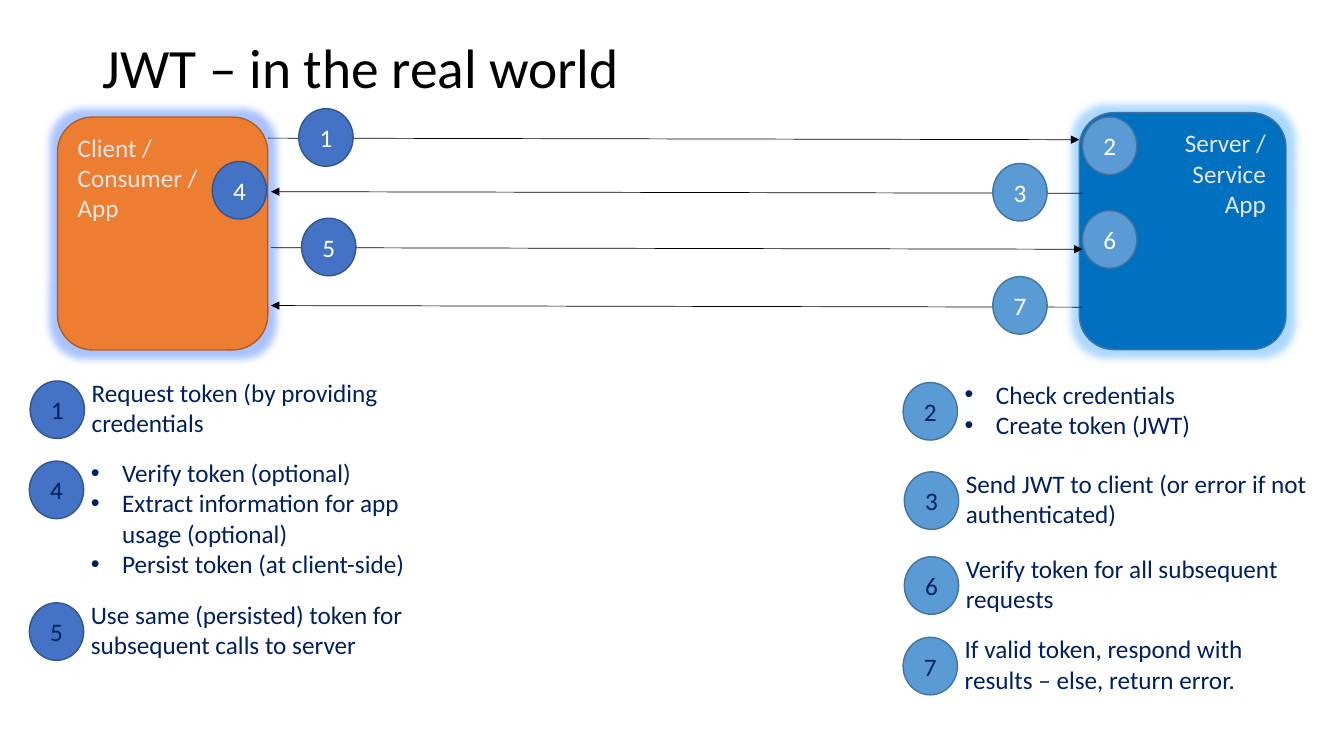
import pptx
import pptx.util
import pptx.dml.color
import pptx.enum.shapes
import pptx.enum.text
import pptx.oxml
import pptx.oxml.ns
from pptx.util import Cm

COLORS = {
    "black": "000000", "white": "FFFFFF", "navy": "002060", "pale": "E7E6E6",
    "client": "ED7D31", "client_edge": "AF5C24", "client_glow": "2A6AFF",
    "server": "0070C0", "server_edge": "43739E", "server_glow": "309FFF",
    "client_step": "4472C4", "client_step_edge": "325491",
    "server_step": "5B9BD5", "server_step_edge": "43739E",
}
DRAWING_NS = 'xmlns:a="http://schemas.openxmlformats.org/drawingml/2006/main"'
ALIGN = pptx.enum.text.PP_ALIGN
ANCHOR = pptx.enum.text.MSO_ANCHOR
SHAPE = pptx.enum.shapes.MSO_SHAPE
CIRCLE_WIDTH, CIRCLE_HEIGHT = 1.37, 1.45


def rgb(name):
    return pptx.dml.color.RGBColor.from_string(COLORS[name])


def element(xml):
    return pptx.oxml.parse_xml(xml.replace("NS", DRAWING_NS, 1))


class FlowSlide:
    """Draws the parts of a request flow on one slide in a shared style."""

    font_name = "Calibri"
    text_size = 18

    def __init__(self, presentation):
        self.slide = presentation.slides.add_slide(presentation.slide_layouts[5])
        self.shapes = self.slide.shapes

    def set_lines(self, frame, lines, color, align=ALIGN.LEFT, size=text_size, bullets=False):
        frame.word_wrap = True
        frame.text = "\n".join(lines)
        for paragraph in frame.paragraphs:
            paragraph.alignment = align
            if bullets:
                properties = paragraph._p.get_or_add_pPr()
                properties.set("marL", str(Cm(0.79)))
                properties.set("indent", str(Cm(-0.79)))
                properties.append(element('<a:buFont NS typeface="Arial"/>'))
                properties.append(element('<a:buChar NS char="•"/>'))
            for run in paragraph.runs:
                run.font.name = self.font_name
                run.font.size = pptx.util.Pt(size)
                run.font.color.rgb = rgb(color)

    def clear_insets(self, frame):
        frame.margin_left = frame.margin_right = frame.margin_top = frame.margin_bottom = 0

    def title(self, wording):
        heading = self.shapes.title
        heading.left, heading.top, heading.width, heading.height = Cm(2.34), Cm(1.02), Cm(29.21), Cm(1.52)
        frame = heading.text_frame
        self.set_lines(frame, [wording], "black", size=39.6)
        frame.auto_size = pptx.enum.text.MSO_AUTO_SIZE.NONE
        frame.vertical_anchor = ANCHOR.MIDDLE
        frame.paragraphs[0].line_spacing = 0.9

    def filled(self, preset, left, top, width, height, fill):
        outline = self.shapes.add_shape(preset, Cm(left), Cm(top), Cm(width), Cm(height))
        outline.shadow.inherit = False
        outline.fill.solid()
        outline.fill.fore_color.rgb = rgb(fill)
        outline.line.color.rgb = rgb(fill + "_edge")
        outline.line.width = pptx.util.Pt(1)
        return outline

    def party(self, side, left, top, width, height, lines, align):
        box = self.filled(SHAPE.ROUNDED_RECTANGLE, left, top, width, height, side)
        box.text_frame.vertical_anchor = ANCHOR.TOP
        self.set_lines(box.text_frame, lines, "pale", align)
        effects = box._element.spPr.find(pptx.oxml.ns.qn("a:effectLst"))
        effects.append(element(
            f'<a:glow NS rad="{Cm(0.39)}"><a:srgbClr val="{COLORS[side + "_glow"]}">'
            '<a:alpha val="40000"/></a:srgbClr></a:glow>'))

    def number(self, side, step, left, top, color="white"):
        circle = self.filled(SHAPE.OVAL, left, top, CIRCLE_WIDTH, CIRCLE_HEIGHT, side + "_step")
        frame = circle.text_frame
        self.clear_insets(frame)
        frame.vertical_anchor = ANCHOR.MIDDLE
        self.set_lines(frame, [str(step)], color, ALIGN.CENTER)

    def arrow(self, start, end):
        call = self.shapes.add_connector(
            pptx.enum.shapes.MSO_CONNECTOR.STRAIGHT, *(Cm(value) for value in start + end))
        call.line.color.rgb = rgb("black")
        call.line.width = pptx.util.Pt(0.5)
        call.line._get_or_add_ln().append(element('<a:tailEnd NS type="triangle"/>'))
        call._element.spPr.append(element("<a:effectLst NS/>"))

    def explanation(self, side, step, left, top, lines):
        self.number(side, step, left, top, "navy")
        height = 3.07 if len(lines) > 2 else 1.55
        note = self.shapes.add_textbox(Cm(left + 1.55), Cm(top - 0.09), Cm(8.86), Cm(height))
        self.clear_insets(note.text_frame)
        self.set_lines(note.text_frame, lines, "navy", bullets=len(lines) > 1)


def main():
    presentation = pptx.Presentation()
    presentation.slide_width, presentation.slide_height = Cm(33.87), Cm(19.05)
    flow = FlowSlide(presentation)
    flow.title("JWT – in the real world")
    flow.party("client", 1.45, 2.95, 5.3, 5.87, ["Client /", "Consumer /", "App"], ALIGN.LEFT)
    flow.party("server", 27.2, 2.84, 5.21, 5.97, ["Server /", "Service", "App"], ALIGN.RIGHT)

    calls = [
        ((6.76, 3.48), (27.2, 3.52)),
        ((27.28, 4.87), (6.83, 4.83)),
        ((6.83, 6.24), (27.28, 6.28)),
        ((27.28, 7.74), (6.83, 7.7)),
    ]
    for start, end in calls:
        flow.arrow(start, end)

    markers = [
        ("client", 1, 7.53, 2.74), ("server", 2, 27.28, 2.95), ("server", 3, 25.02, 4.12),
        ("client", 4, 5.35, 4.07), ("client", 5, 7.6, 5.5), ("server", 6, 27.28, 5.31),
        ("server", 7, 25.02, 6.97),
    ]
    for marker in markers:
        flow.number(*marker)

    explanations = [
        ("client", 1, 0.76, 9.6, ["Request token (by providing credentials"]),
        ("server", 2, 22.76, 9.64, ["Check credentials", "Create token (JWT)"]),
        ("server", 3, 22.79, 11.89, ["Send JWT to client (or error if not authenticated)"]),
        ("client", 4, 0.74, 11.62, ["Verify token (optional)",
                                    "Extract information for app usage (optional)",
                                    "Persist token (at client-side)"]),
        ("client", 5, 0.74, 15.19, ["Use same (persisted) token for subsequent calls to server"]),
        ("server", 6, 22.79, 14.03, ["Verify token for all subsequent requests"]),
        ("server", 7, 22.76, 16.06, ["If valid token, respond with results – else, return error."]),
    ]
    for entry in explanations:
        flow.explanation(*entry)
    presentation.save("out.pptx")


if __name__ == "__main__":
    main()
